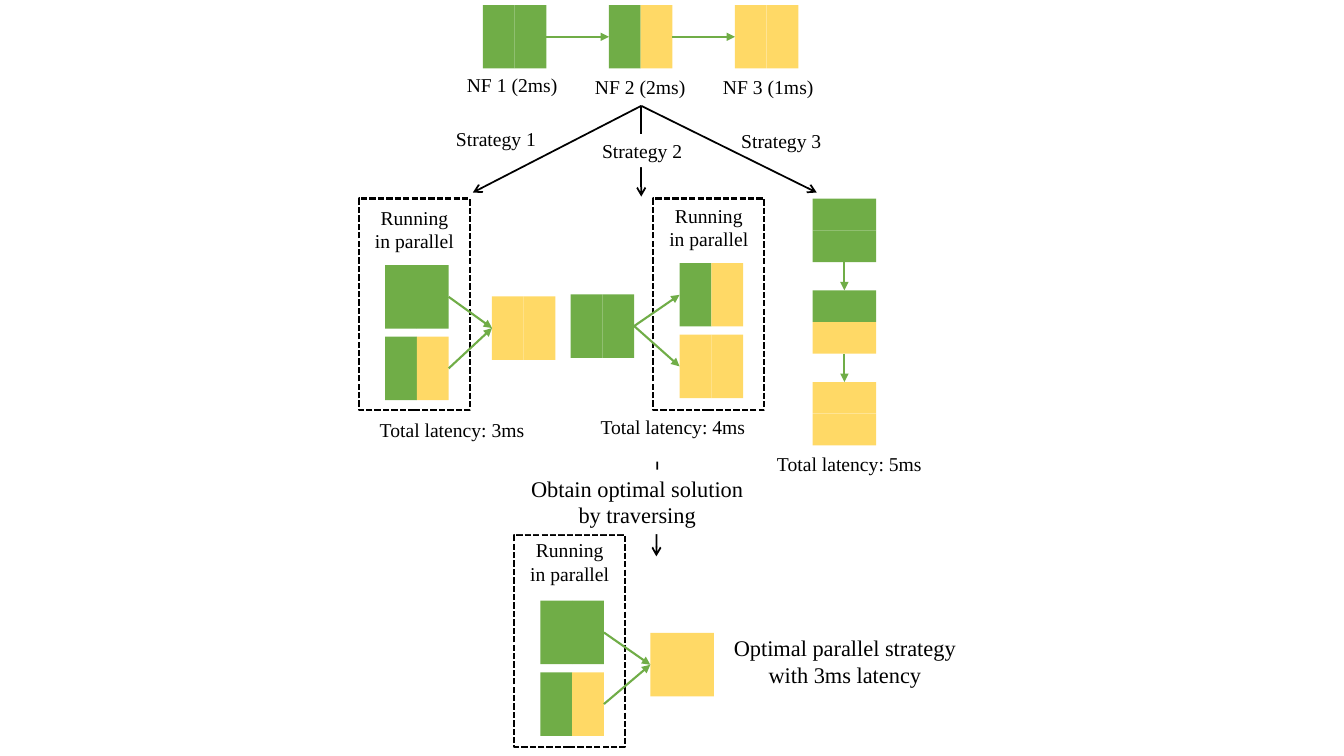
from lxml import etree
from pptx import Presentation
from pptx import util as u
from pptx.dml import color
from pptx.enum import dml, shapes, text
from pptx.oxml import ns

GREEN, GOLD, BLACK, WHITE = "70AD47", "FFD966", "000000", "FFFFFF"
FONT = "Times New Roman"
SIDE = 0.63
MID = SIDE / 2


def rgb(code):
    return color.RGBColor.from_string(code)


def inches(*sizes):
    return [u.Inches(size) for size in sizes]


def label(area, words, x, y, w, h, size=14, fill=None, lead=None):
    box = area.add_textbox(*inches(x, y, w, h))
    if fill:
        box.fill.solid()
        box.fill.fore_color.rgb = rgb(fill)
    frame = box.text_frame
    frame.word_wrap = True
    frame.auto_size = text.MSO_AUTO_SIZE.SHAPE_TO_FIT_TEXT
    frame.text = words
    for para in frame.paragraphs:
        para.alignment = text.PP_ALIGN.CENTER
        if lead:
            para.line_spacing = u.Pt(lead)
        for run in para.runs:
            run.font.name = FONT
            run.font.size = u.Pt(size)
            run.font.color.rgb = rgb(BLACK)


def rect(area, x, y, w, h):
    box = area.add_shape(shapes.MSO_SHAPE.RECTANGLE, *inches(x, y, w, h))
    box.shadow.inherit = False
    return box


def block(area, x, y, first, last, stacked=False):
    """Draw a square of two halves, side by side or stacked."""
    for i, fill in enumerate((first, last)):
        if stacked:
            half = rect(area, x, y + i * MID, SIDE, MID)
        else:
            half = rect(area, x + i * MID, y, MID, SIDE)
        half.fill.solid()
        half.fill.fore_color.rgb = rgb(fill)
        half.line.fill.background()


def arrow(area, x1, y1, x2, y2, ink=GREEN, width=1.5, head="triangle"):
    line = area.add_connector(shapes.MSO_CONNECTOR.STRAIGHT,
                              *inches(x1, y1, x2, y2))
    line.line.color.rgb = rgb(ink)
    line.line.width = u.Pt(width)
    tip = etree.SubElement(line.line._get_or_add_ln(), ns.qn("a:tailEnd"))
    tip.set("type", head)
    etree.SubElement(line._element.spPr, ns.qn("a:effectLst"))


def flow(area, x1, y1, x2, y2):
    arrow(area, x1, y1, x2, y2, BLACK, 1.25, "arrow")


def latency(area, x, y, ms):
    label(area, f"Total latency: {ms}ms", x, y, 1.67, 0.34)


def chain(area, x, y):
    """Draw the three functions in a row, with their times."""
    step = 1.25
    parts = [(GREEN, GREEN, 2, 0.67), (GREEN, GOLD, 2, 0.69),
             (GOLD, GOLD, 1, 0.69)]
    for i, (first, last, ms, top) in enumerate(parts):
        left = x + i * step
        block(area, left, y, first, last)
        label(area, f"NF {i + 1} ({ms}ms)", 4.51 + i * 1.27, top, 1.14, 0.34)
        if i:
            arrow(area, left - step + SIDE, y + MID, left, y + MID)


def stage(area, x, y, pair, top, single, lone, note, before=False):
    """Draw a dashed box with two parallel blocks and one block beside it.

    top, lone and note are offsets from the corner of the box.
    """
    frame = rect(area, x, y, 1.1, 2.1)
    frame.fill.background()
    frame.line.color.rgb = rgb(BLACK)
    frame.line.width = u.Pt(1.5)
    frame.line.dash_style = dml.MSO_LINE.SQUARE_DOT
    label(area, "Running in parallel", x + 0.04, y + note, 1.02, 0.57)
    side, base = x + lone[0], y + lone[1]
    block(area, side, base, *single)
    left = x + 0.26
    for i, fills in enumerate(pair):
        row = y + top + i * 0.71
        block(area, left, row, *fills)
        if before:
            arrow(area, side + SIDE, base + MID, left, row + MID)
        else:
            arrow(area, left + SIDE, row + MID, side, base + MID)


def column(area, x, y):
    """Draw the three functions one below the other."""
    step = 0.91
    fills = [(GREEN, GREEN), (GREEN, GOLD), (GOLD, GOLD)]
    for i, pair in enumerate(fills):
        row = y + i * step
        block(area, x, row, *pair, stacked=True)
        if i:
            arrow(area, x + MID, row - step + SIDE, x + MID, row)
    latency(area, x - 0.47, y + 2.46, 5)


def main():
    deck = Presentation()
    deck.slide_width, deck.slide_height = inches(13.33, 7.5)
    page = deck.slides.add_slide(deck.slide_layouts[6]).shapes

    def group():
        return page.add_group_shape().shapes

    green, mixed, gold = (GREEN, GREEN), (GREEN, GOLD), (GOLD, GOLD)
    label(page, "Optimal parallel strategy\nwith 3ms latency",
          6.99, 6.24, 2.78, 0.64, 16)

    second = group()
    stage(second, 6.48, 1.97, (mixed, gold), 0.64, green, (-0.82, 0.95), 0,
          before=True)
    latency(second, 5.84, 4.07, 4)

    chain(group(), 4.79, 0.05)

    first = group()
    stage(first, 3.56, 1.97, (green, mixed), 0.66, gold, (1.32, 0.97), 0.02)
    latency(first, 3.65, 4.1, 3)

    column(group(), 8.06, 1.97)

    for x, y in ((4.69, 1.91), (6.36, 1.95), (8.1, 1.91)):
        flow(page, 6.36, 1.05, x, y)
    stops = [(4.42, 1.21, None), (5.87, 1.33, WHITE), (7.25, 1.23, None)]
    for i, (x, y, fill) in enumerate(stops, 1):
        label(page, f"Strategy {i}", x, y, 1, 0.33, fill=fill, lead=16.8)

    stage(group(), 5.1, 5.31, (green, mixed), 0.65, gold, (1.35, 0.97), -0.02)
    flow(page, 6.52, 4.58, 6.51, 5.52)
    label(page, "Obtain optimal solution\nby traversing",
          4.97, 4.66, 2.7, 0.64, 16, WHITE)
    deck.save("out.pptx")


if __name__ == "__main__":
    main()
